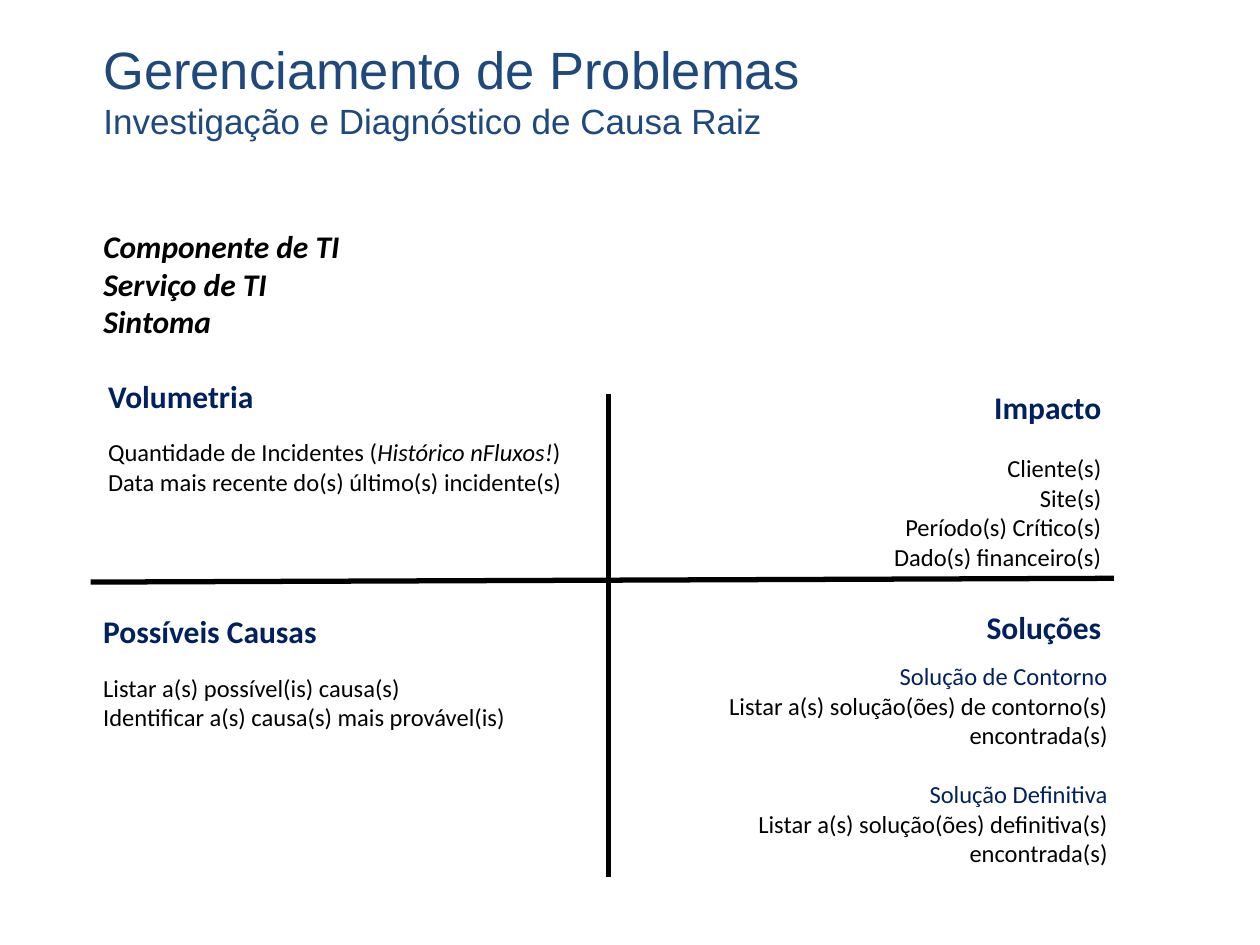
import pptx
import pptx.util
import pptx.dml.color
import pptx.enum.shapes
import pptx.enum.text
import lxml.etree
from dataclasses import dataclass

Inches, Pt = pptx.util.Inches, pptx.util.Pt
RGBColor = pptx.dml.color.RGBColor
PP_ALIGN = pptx.enum.text.PP_ALIGN
LEFT, RIGHT = PP_ALIGN.LEFT, PP_ALIGN.RIGHT


@dataclass(frozen=True)
class Theme:
    title_font: str = "Arial"
    body_font: str = "Calibri"
    title_color: str = "1F497D"
    heading_color: str = "002060"
    text_color: str = "000000"
    title_size: int = 30
    subtitle_size: int = 20
    heading_size: int = 18
    text_size: int = 14
    axis_width: int = 3


theme = Theme()


def place(box, left, top, width, height, anchor=pptx.enum.text.MSO_ANCHOR.TOP):
    """Set the position and the text frame of a box."""
    box.left, box.top = Inches(left), Inches(top)
    box.width, box.height = Inches(width), Inches(height)
    box.text_frame.word_wrap = True
    box.text_frame.auto_size = pptx.enum.text.MSO_AUTO_SIZE.NONE
    box.text_frame.vertical_anchor = anchor


def write(box, lines, size, color, align=LEFT, font=theme.body_font, bold=False, italic=False):
    """Write each line as a paragraph; a line is a text or a list of (text, italic) spans."""
    frame = box.text_frame
    for line in lines:
        para = frame.paragraphs[0] if not frame.text else frame.add_paragraph()
        para.alignment = align
        para.space_before = Pt(0)
        spans = [(line, italic)] if isinstance(line, str) else line
        for text, slanted in spans:
            span = para.add_run()
            span.text = text
            span.font.name, span.font.size = font, Pt(size)
            span.font.bold, span.font.italic = bold, slanted
            span.font.color.rgb = RGBColor.from_string(color)


deck = pptx.Presentation()
deck.slide_width, deck.slide_height = Inches(10), Inches(7.5)
page = deck.slides.add_slide(deck.slide_layouts[1])

# Title and subtitle
title = page.shapes.title
place(title, 0.72, 0.24, 6.17, 0.94, pptx.enum.text.MSO_ANCHOR.MIDDLE)
for line, size in (
    ("Gerenciamento de Problemas", theme.title_size),
    ("Investigação e Diagnóstico de Causa Raiz", theme.subtitle_size),
):
    write(title, [line], size, theme.title_color, font=theme.title_font)

# Problem identification list, without bullets
summary = page.placeholders[1]
place(summary, 0.72, 1.75, 6.95, 0.97)
write(summary, ["Componente de TI", "Serviço de TI", "Sintoma"],
      theme.heading_size, theme.text_color, bold=True, italic=True)
for para in summary.text_frame.paragraphs:
    properties = para._p.get_or_add_pPr()
    properties.set("marL", "0")
    properties.set("indent", "0")
    lxml.etree.SubElement(properties, pptx.oxml.ns.qn("a:buNone"))

# Cross that separates the quadrants
for start_x, start_y, end_x, end_y in ((4.83, 3.13, 4.83, 6.96), (8.84, 4.59, 0.72, 4.62)):
    axis = page.shapes.add_connector(
        pptx.enum.shapes.MSO_CONNECTOR.STRAIGHT,
        Inches(start_x), Inches(start_y), Inches(end_x), Inches(end_y))
    axis.line.color.rgb = RGBColor.from_string(theme.text_color)
    axis.line.width = Pt(theme.axis_width)
    lxml.etree.SubElement(axis._element.spPr, pptx.oxml.ns.qn("a:effectLst"))

# Quadrant headings
for heading, left, top, align in (
    ("Volumetria", 0.76, 2.94, LEFT),
    ("Impacto", 5.44, 3.03, RIGHT),
    ("Possíveis Causas", 0.72, 4.81, LEFT),
    ("Soluções", 5.44, 4.78, RIGHT),
):
    box = page.shapes.add_textbox(0, 0, 0, 0)
    place(box, left, top, 3.4, 0.39)
    write(box, [heading], theme.heading_size, theme.heading_color, align, bold=True)

# Quadrant details
for lines, left, top, width, height, align in (
    ([[("Quantidade de Incidentes (", False), ("Histórico nFluxos!", True), (")", False)],
      "Data mais recente do(s) último(s) incidente(s)"], 0.76, 3.42, 4.07, 1.23, LEFT),
    (["Cliente(s)", "Site(s)", "Período(s) Crítico(s)", "Dado(s) financeiro(s)"],
     5.44, 3.55, 3.4, 1.23, RIGHT),
    (["Listar a(s) possível(is) causa(s)", "Identificar a(s) causa(s) mais provável(is)"],
     0.72, 5.29, 4.11, 1, LEFT),
):
    box = page.shapes.add_textbox(0, 0, 0, 0)
    place(box, left, top, width, height)
    write(box, lines, theme.text_size, theme.text_color, align)

# Workaround and definitive solution
solutions = page.shapes.add_textbox(0, 0, 0, 0)
place(solutions, 5.49, 5.2, 3.4, 1.91)
for name, action in (
    ("Solução de Contorno", "Listar a(s) solução(ões) de contorno(s) encontrada(s)"),
    ("Solução Definitiva", "Listar a(s) solução(ões) definitiva(s) encontrada(s)"),
):
    write(solutions, [name], theme.text_size, theme.heading_color, RIGHT)
    write(solutions, [action], theme.text_size, theme.text_color, RIGHT)
solutions.text_frame.paragraphs[2].space_before = Pt(17)

deck.save("out.pptx")
